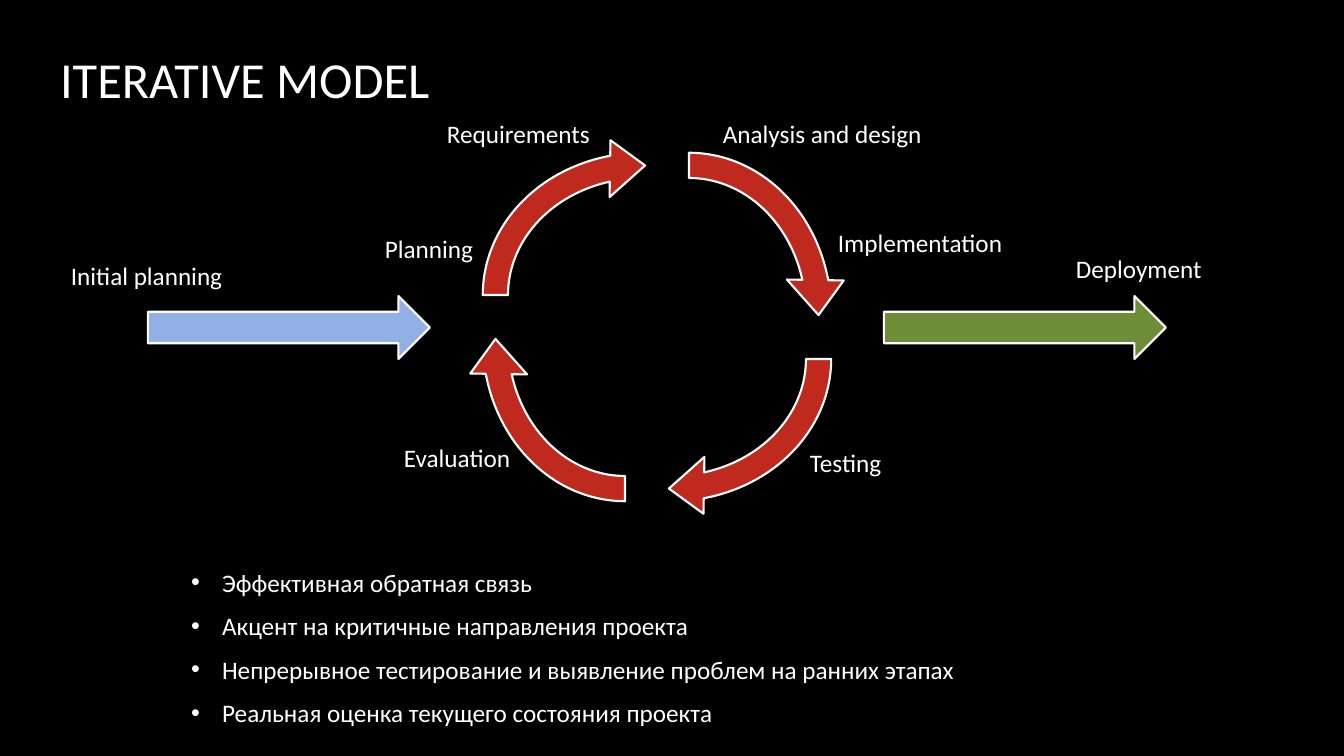
from pptx import Presentation
from pptx.dml.color import RGBColor
from pptx.enum.shapes import MSO_SHAPE as Shape
from pptx.enum.text import MSO_ANCHOR as Anchor, MSO_AUTO_SIZE as AutoSize, PP_ALIGN as Align
from pptx.oxml import parse_xml
from pptx.oxml.ns import nsdecls
from pptx.util import Emu, Pt

SLIDE_WIDTH, SLIDE_HEIGHT = 1344, 756
SCALE = 12192000 / SLIDE_WIDTH
FONT = "Calibri"
BLACK = RGBColor(0x00, 0x00, 0x00)
WHITE = RGBColor(0xFF, 0xFF, 0xFF)
RED = RGBColor(0xC0, 0x2A, 0x1E)
BLUE = RGBColor(0x91, 0xB0, 0xE3)
GREEN = RGBColor(0x6D, 0x8E, 0x37)

CURVE = (0.08, 9.33, 153.23, 108, 0.09)
STAGES = [
    ("Initial planning", 4, 142, 173),
    ("Planning", 318, 115, 110),
    ("Requirements", 380, 0, 165),
    ("Analysis and design", 656, 0, 222),
    ("Implementation", 771, 109, 186),
    ("Testing", 743, 329, 93),
    ("Evaluation", 337, 324, 128),
    ("Deployment", 1009, 135, 147),
]
BENEFITS = [
    "Эффективная обратная связь",
    "Акцент на критичные направления проекта",
    "Непрерывное тестирование и выявление проблем на ранних этапах",
    "Реальная оценка текущего состояния проекта",
]


def px(length):
    """Turn px into EMU."""
    return Emu(round(length * SCALE))


def place(shape, box):
    """Move a shape to a box given in px."""
    shape.left, shape.top, shape.width, shape.height = map(px, box)


def style_para(para, size):
    """Format every run of a paragraph in the slide's white font."""
    for run in para.runs:
        run.font.name = FONT
        run.font.size = Pt(size)
        run.font.color.rgb = WHITE


def add_arrow(page, kind, box, color):
    """Add a filled block arrow with a white outline."""
    arrow = page.shapes.add_shape(kind, *map(px, box))
    arrow.shadow.inherit = False
    arrow.fill.solid()
    arrow.fill.fore_color.rgb = color
    arrow.line.color.rgb = WHITE
    arrow.line.width = Pt(1.5)
    return arrow


def add_title(page, box):
    """Fill the title placeholder."""
    title = page.shapes.title
    place(title, box)
    frame = title.text_frame
    frame.text = "ITERATIVE MODEL"
    frame.vertical_anchor = Anchor.MIDDLE
    frame.auto_size = AutoSize.NONE
    frame.paragraphs[0].alignment = Align.LEFT
    style_para(frame.paragraphs[0], 36)


def add_cycle(page, center_x, center_y):
    """Add four curved arrows, each a quarter turn after the last."""
    width, height = 352, 316
    shift_x, shift_y = -14, -32
    for quarter in range(4):
        left = center_x + shift_x - width // 2
        top = center_y + shift_y - height // 2
        arrow = add_arrow(page, Shape.CIRCULAR_ARROW, (left, top, width, height), RED)
        for index, value in enumerate(CURVE):
            arrow.adjustments[index] = value
        arrow.rotation = 90 * quarter
        shift_x, shift_y = -shift_y, shift_x


def add_label(page, text, box):
    """Add a one-line stage label."""
    frame = page.shapes.add_textbox(*map(px, box)).text_frame
    frame.word_wrap = False
    frame.auto_size = AutoSize.SHAPE_TO_FIT_TEXT
    frame.text = text
    style_para(frame.paragraphs[0], 18)


def add_diagram(page, box):
    """Add the cycle, the arrows into and out of it, and the stage labels."""
    left, top, width, height = box
    center_x, center_y = left + width // 2, top + height // 2
    add_cycle(page, center_x, center_y)
    length, thickness, reach = 282, 63, 509
    arrow_top = center_y - thickness // 2
    for start, color in ((-reach, BLUE), (reach - length, GREEN)):
        add_arrow(page, Shape.RIGHT_ARROW, (center_x + start, arrow_top, length, thickness), color)
    for text, shift_x, shift_y, label_width in STAGES:
        add_label(page, text, (left + shift_x, top + shift_y, label_width, 40))


def add_benefits(page, box):
    """Fill the body placeholder with the bulleted list."""
    body = page.placeholders[1]
    place(body, box)
    frame = body.text_frame
    frame.text = "\n".join(BENEFITS)
    frame.vertical_anchor = Anchor.TOP
    frame.auto_size = AutoSize.NONE
    for para in frame.paragraphs:
        properties = para._p.get_or_add_pPr()
        properties.set("marL", str(px(31)))
        properties.set("indent", str(px(-31)))
        for bullet in (
            f'<a:buClr {nsdecls("a")}><a:srgbClr val="{WHITE}"/></a:buClr>',
            f'<a:buFont {nsdecls("a")} typeface="Arial"/>',
            f'<a:buChar {nsdecls("a")} char="•"/>',
        ):
            properties.append(parse_xml(bullet))
        para.space_before = Pt(0)
        para.space_after = Pt(9.5)
        style_para(para, 18)


def main():
    """Build the slide and save it."""
    deck = Presentation()
    deck.slide_width, deck.slide_height = px(SLIDE_WIDTH), px(SLIDE_HEIGHT)
    page = deck.slides.add_slide(deck.slide_layouts[1])
    page.background.fill.solid()
    page.background.fill.fore_color.rgb = BLACK
    add_title(page, (50, 29, 482, 99))
    add_diagram(page, (57, 113, 1200, 428))
    add_benefits(page, (181, 562, 842, 184))
    deck.save("out.pptx")


if __name__ == "__main__":
    main()
